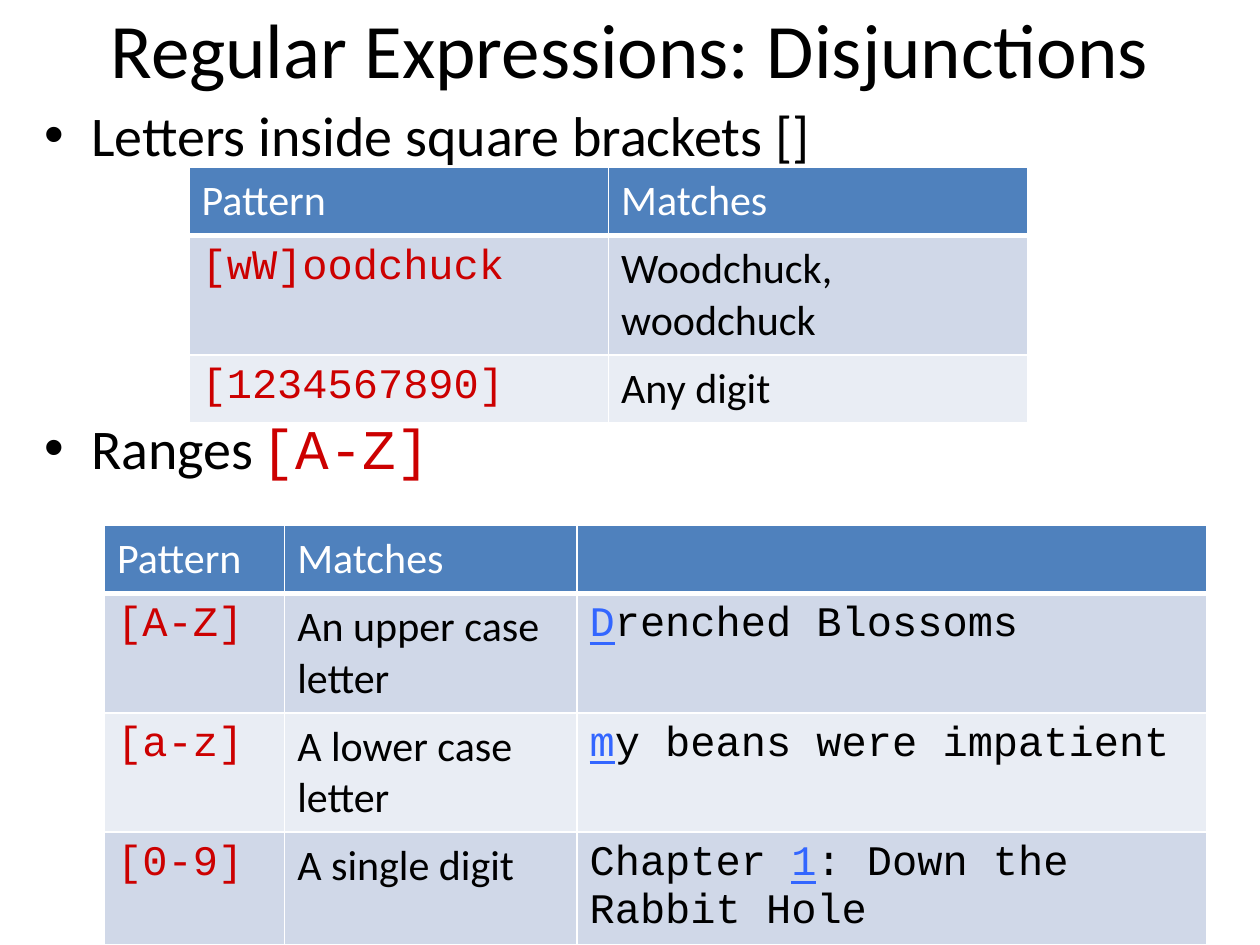
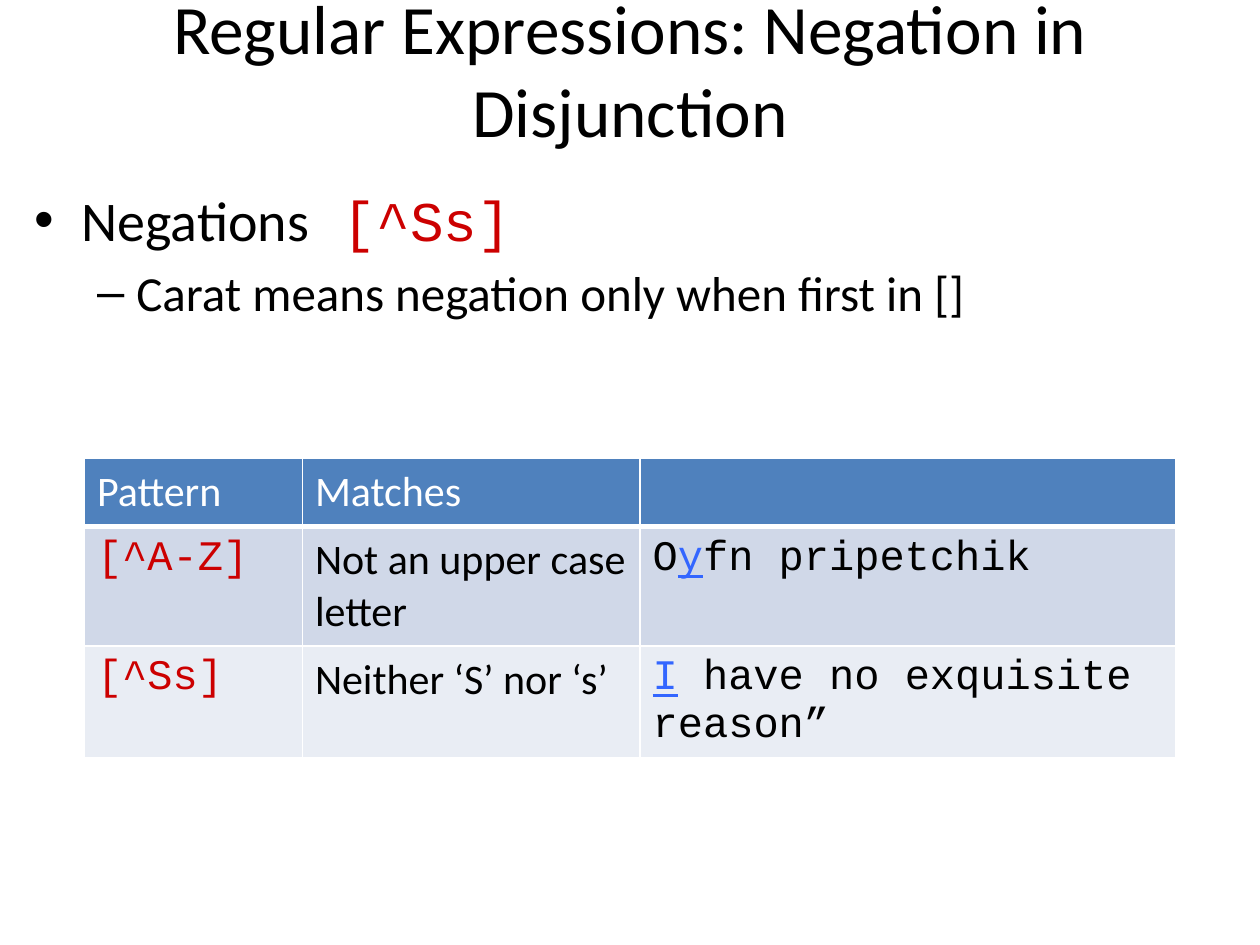
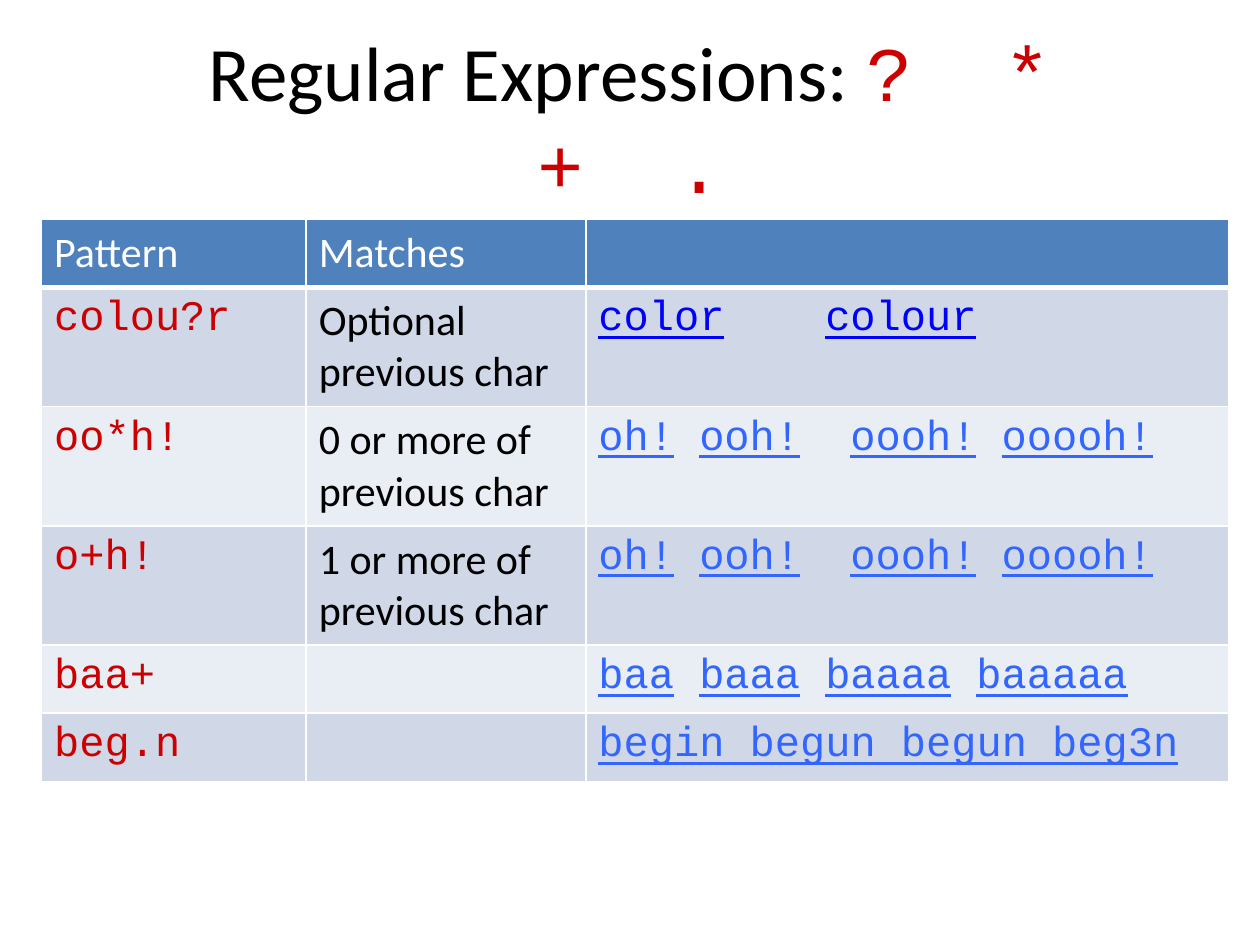
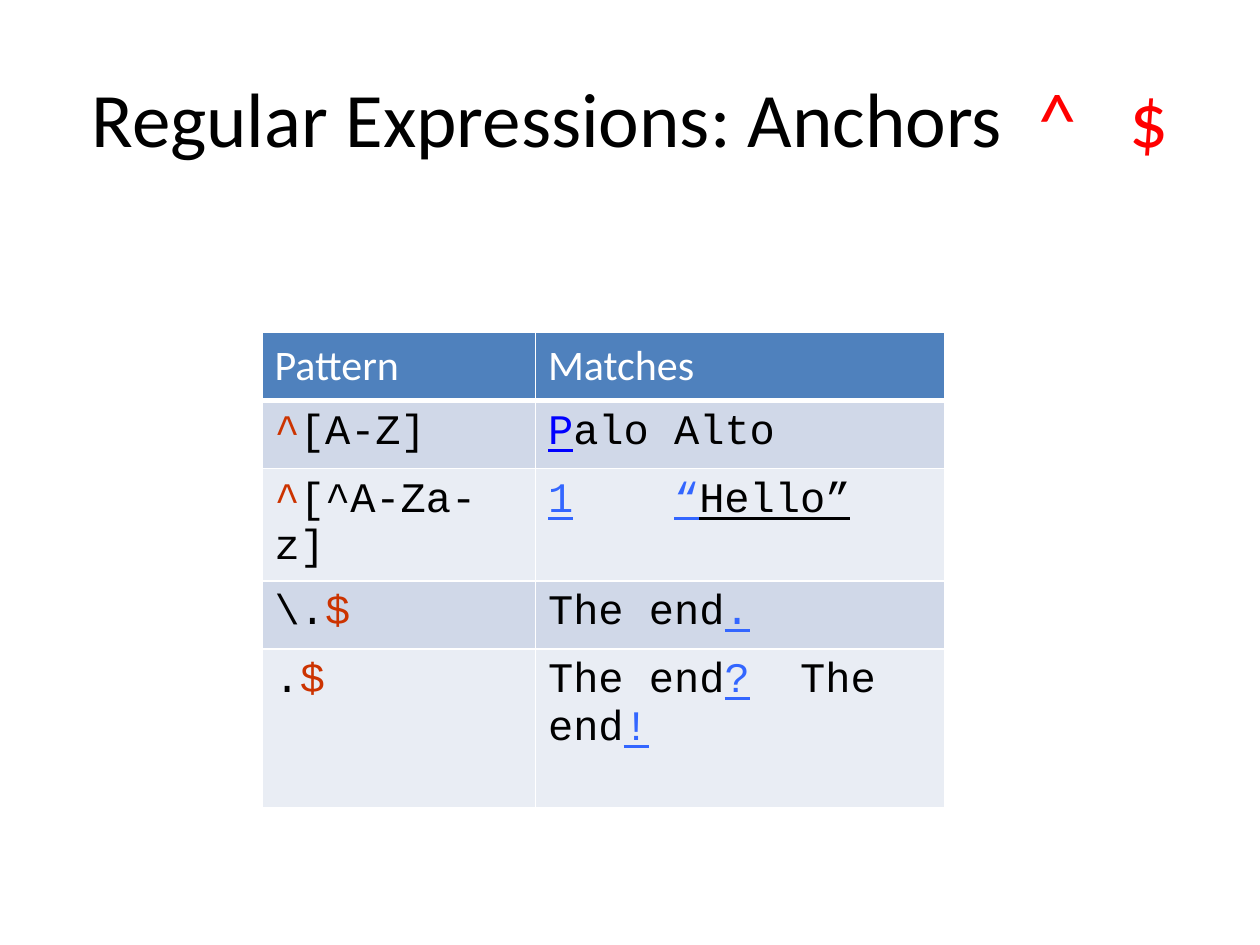
from dataclasses import dataclass
from typing import NamedTuple

from lxml.etree import SubElement as Sub
from pptx import Presentation
from pptx.dml.color import RGBColor as Rgb
from pptx.enum.text import MSO_ANCHOR as Anchor, MSO_AUTO_SIZE as Fit, PP_ALIGN as Align
from pptx.oxml.ns import qn
from pptx.util import Inches, Pt

HUES = {
    "ink": "000000",
    "white": "FFFFFF",
    "head": "4F81BD",
    "odd": "D0D8E8",
    "even": "E9EDF4",
    "code": "CC0000",
    "hit": "3366FF",
    "blue": "0000FF",
    "sign": "CC3300",
    "red": "FF0000",
}
SANS, MONO = "Calibri", "Courier New"
CELL_SIZE = 24
LIST_SIZES = (32, 28)
TITLE_BOX = (0.5, 0.3, 9, 1.25)


class Bit(NamedTuple):
    """A stretch of text in one style; wide adds points after each letter."""
    text: str
    hue: str = "ink"
    font: str = SANS
    line: bool = False
    wide: float = 0
    size: float = 0


class Item(NamedTuple):
    bits: list[Bit]
    level: int = 0
    above: float = 0


@dataclass
class Grid:
    left: float
    top: float
    tall: float
    cols: list[float]
    rows: list[float]
    body: list[list[list[Bit]]]


@dataclass
class Page:
    title: list[Bit]
    grids: list[Grid]
    box: tuple[float, ...] = TITLE_BOX
    size: float = 44
    items: tuple[Item, ...] = ()
    frame: tuple[float, ...] = ()


def say(text: str) -> list[Bit]:
    return [Bit(text)]


def code(text: str) -> list[Bit]:
    return [Bit(text, "code", MONO)]


def mono(text: str) -> Bit:
    return Bit(text, font=MONO)


def sign(text: str) -> Bit:
    return Bit(text, "sign", MONO)


def hit(text: str, hue: str = "hit") -> Bit:
    return Bit(text, hue, MONO, True)


def gap(wide: float, hue: str = "ink", font: str = MONO) -> Bit:
    return Bit(" ", hue, font, wide=wide)


def hits(*words: str) -> list[Bit]:
    """Matched words with one space between them."""
    bits = [hit(words[0])]
    for word in words[1:]:
        bits += [mono(" "), hit(word)]
    return bits


def write(para, bits: list[Bit], size: float) -> None:
    for bit in bits:
        run = para.add_run()
        run.text = bit.text
        font = run.font
        font.name, font.size = bit.font, Pt(bit.size or size)
        font.color.rgb = Rgb.from_string(HUES[bit.hue])
        font.bold, font.underline = False, bit.line
        if bit.wide:
            run._r.get_or_add_rPr().set("spc", str(round(bit.wide * 100)))


def place(shape, box: tuple[float, ...]) -> None:
    shape.left, shape.top, shape.width, shape.height = map(Inches, box)
    shape.text_frame.word_wrap = True
    shape.text_frame.auto_size = Fit.NONE


def edge(cell, base: float) -> None:
    """White lines round a cell, the lower one base points wide."""
    props = cell._tc.get_or_add_tcPr()
    for side, width in (("L", 1), ("R", 1), ("T", 1), ("B", base)):
        line = Sub(props, qn(f"a:ln{side}"), w=str(Pt(width)))
        Sub(Sub(line, qn("a:solidFill")), qn("a:srgbClr"), val=HUES["white"])


def fill_cell(cell, bits: list[Bit], hue: str) -> None:
    edge(cell, 3 if hue == "head" else 1)
    cell.fill.solid()
    cell.fill.fore_color.rgb = Rgb.from_string(HUES[hue])
    cell.margin_left = cell.margin_right = Inches(0.1)
    cell.margin_top = cell.margin_bottom = Inches(0.2) // 3
    write(cell.text_frame.paragraphs[0], bits, CELL_SIZE)


def draw_grid(slide, grid: Grid) -> None:
    names = ("Pattern", "Matches", "")[:len(grid.cols)]
    head = [[Bit(name, "white")] if name else [] for name in names]
    frame = slide.shapes.add_table(
        len(grid.rows), len(grid.cols), Inches(grid.left), Inches(grid.top),
        Inches(sum(grid.cols)), Inches(grid.tall))
    table = frame.table
    for col, width in zip(table.columns, grid.cols):
        col.width = Inches(width)
    for row, height in zip(table.rows, grid.rows):
        row.height = Inches(height)
    frame.height = Inches(grid.tall)
    for r, row in enumerate([head, *grid.body]):
        hue = "head" if r == 0 else "odd" if r % 2 else "even"
        for c, bits in enumerate(row):
            fill_cell(table.cell(r, c), bits, hue)


def draw_list(shape, page: Page) -> None:
    place(shape, page.frame)
    text = shape.text_frame
    for n, item in enumerate(page.items):
        para = text.add_paragraph() if n else text.paragraphs[0]
        para.level = item.level
        if item.above:
            para.space_before = Pt(item.above)
        write(para, item.bits, LIST_SIZES[item.level])


def draw_page(deck, page: Page) -> None:
    slide = deck.slides.add_slide(deck.slide_layouts[1 if page.items else 5])
    title = slide.shapes.title
    place(title, page.box)
    title.text_frame.vertical_anchor = Anchor.MIDDLE
    para = title.text_frame.paragraphs[0]
    para.alignment = Align.CENTER
    write(para, page.title, page.size)
    if page.items:
        draw_list(slide.placeholders[1], page)
    for grid in page.grids:
        draw_grid(slide, grid)


OHS = [*hits("oh!", "ooh!"), gap(14.4), *hits("oooh!", "ooooh!")]
STEP = gap(26.4, "code")

PAGES = [
    Page(
        say("Regular Expressions: Disjunctions"),
        [
            Grid(1.5, 1.33, 2, [3.33] * 2, [0.53] * 3, [
                [code("[wW]oodchuck"), say("Woodchuck, woodchuck")],
                [code("[1234567890]"), say("Any digit")],
            ]),
            Grid(0.83, 4.17, 3.33, [1.43, 2.32, 5], [0.53] * 4, [
                [code("[A-Z]"), say("An upper case letter"),
                 [hit("D"), mono("renched Blossoms")]],
                [code("[a-z]"), say("A lower case letter"),
                 [hit("m"), mono("y beans were impatient")]],
                [code("[0-9]"), say("A single digit"),
                 [mono("Chapter "), hit("1"), mono(": Down the Rabbit Hole")]],
            ]),
        ],
        box=(0.5, -0.25, 9, 1.25),
        items=(
            Item(say("Letters inside square brackets []")),
            Item([Bit("Ranges"), Bit(" ", size=20), *code("[A-Z]")], above=140),
        ),
        frame=(0.25, 0.75, 8.52, 6.44),
    ),
    Page(
        say("Regular Expressions: Negation in Disjunction"),
        [
            Grid(0.67, 3.64, 2.01, [1.73, 2.68, 4.25], [0.54] * 3, [
                [code("[^A-Z]"), say("Not an upper case letter"),
                 [mono("O"), hit("y"), mono("fn pripetchik")]],
                [code("[^Ss]"), say("Neither ‘S’ nor ‘s’"),
                 [hit("I"), mono(" have no exquisite reason”")]],
            ]),
        ],
        box=(0, 0, 10, 1.08),
        size=39.6,
        items=(
            Item([Bit("Negations"), *code(" [^Ss]")]),
            Item(say("Carat means negation only when first in []"), 1),
        ),
        frame=(0.17, 1.42, 9.5, 6.67),
    ),
    Page(
        [Bit("Regular Expressions: "), *code("?"), STEP, *code("*"), STEP,
         *code("+"), STEP, *code(".")],
        [
            Grid(0.33, 1.74, 4.42, [2.1, 2.22, 5.1],
                 [0.54, 0.93, 0.93, 0.93, 0.54, 0.54], [
                [code("colou?r"), say("Optional previous char"),
                 [hit("color", "blue"), gap(43.2), hit("colour", "blue")]],
                [code("oo*h!"), say("0 or more of previous char"), OHS],
                [code("o+h!"), say("1 or more of previous char"), OHS],
                [code("baa+"), [], hits("baa", "baaa", "baaaa", "baaaaa")],
                [code("beg.n"), [], [hit("begin begun begun beg3n")]],
            ]),
        ],
    ),
    Page(
        [Bit("Regular Expressions: Anchors"), gap(10, font=SANS),
         Bit("^", "red"), gap(20, "red", SANS), Bit("$", "red")],
        [
            Grid(2.08, 2.64, 3.1, [2.17, 3.25], [0.54] * 4 + [1.26], [
                [[sign("^"), mono("[A-Z]")],
                 [hit("P", "blue"), mono("alo Alto")]],
                [[sign("^"), mono("[^A-Za-z]")],
                 [hit("1"), gap(43.2), hit("“"), hit("Hello”", "ink")]],
                [[mono("\\."), sign("$")],
                 [mono("The end"), hit(".")]],
                [[mono("."), sign("$")],
                 [mono("The end"), hit("?"), gap(14.4), mono("The end"), hit("!")]],
            ]),
        ],
    ),
]


def main() -> None:
    deck = Presentation()
    deck.slide_width, deck.slide_height = Inches(10), Inches(7.5)
    for page in PAGES:
        draw_page(deck, page)
    deck.save("out.pptx")


if __name__ == "__main__":
    main()
